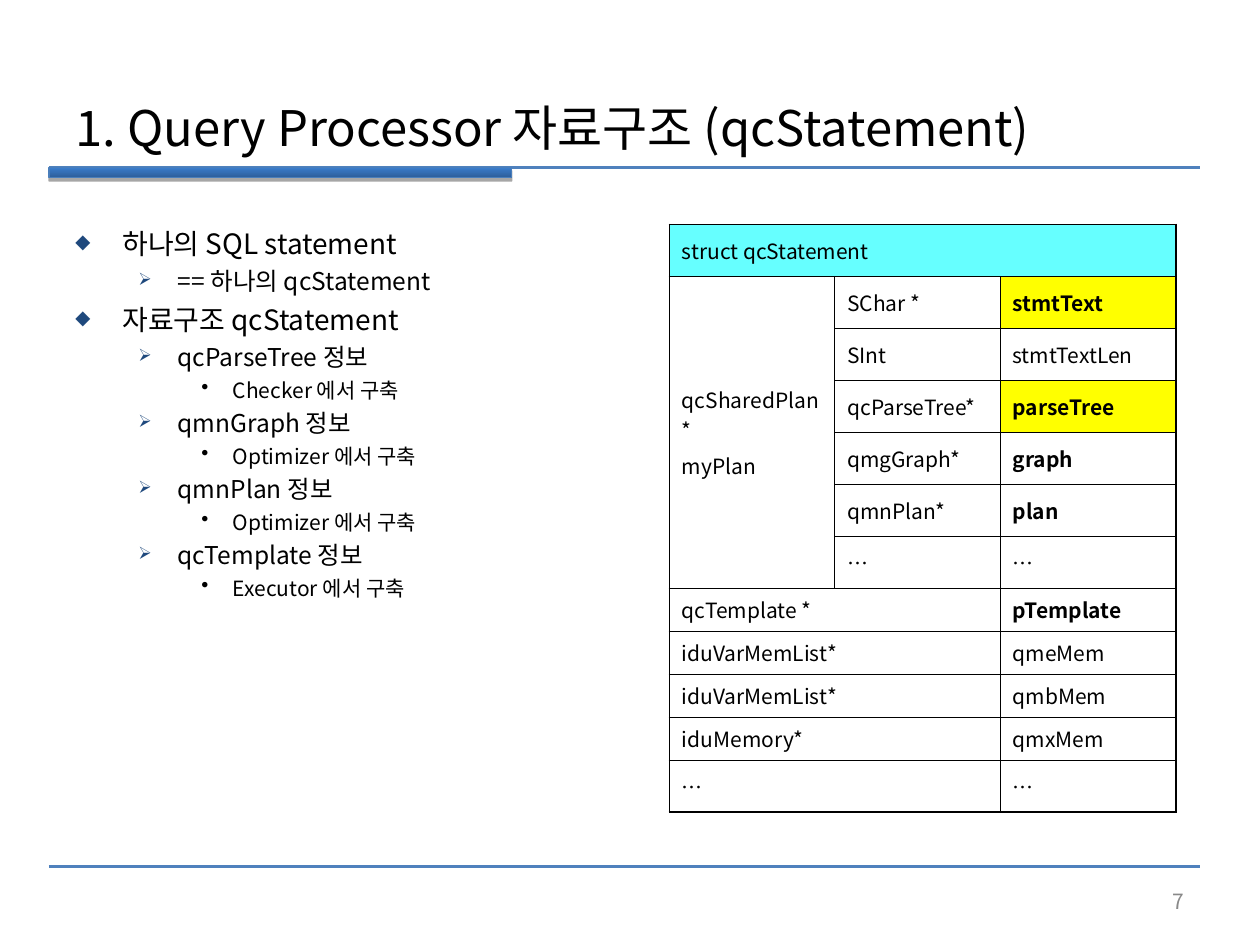
from lxml import etree
from pptx import Presentation
from pptx.dml.color import RGBColor
from pptx.enum import shapes, text
from pptx.oxml import ns
from pptx.util import Pt

FONT = "Noto Sans CJK KR"
COLORS = {"ink": "000000", "rule": "4F81BD", "bar_dark": "2C5D98", "bar_light": "3A7CCB",
          "bar_edge": "4A7EBB", "bullet": "1F497D", "header": "66FFFF",
          "highlight": "FFFF00", "number": "898989"}

TITLE = "1. Query Processor 자료구조 (qcStatement)"
OUTLINE = [
    (0, "하나의 SQL statement"),
    (1, "== 하나의 qcStatement"),
    (0, "자료구조 qcStatement"),
    (1, "qcParseTree 정보"),
    (2, "Checker 에서 구축"),
    (1, "qmnGraph 정보"),
    (2, "Optimizer 에서 구축"),
    (1, "qmnPlan 정보"),
    (2, "Optimizer 에서 구축"),
    (1, "qcTemplate 정보"),
    (2, "Executor 에서 구축"),
]
LEVELS = [
    {"size": 16, "before": 4, "left": 27, "hang": 27, "mark": "◆", "color": "bullet", "scale": 70},
    {"size": 14, "before": 3.5, "left": 58.5, "hang": 22.5, "mark": "➢", "color": "bullet", "scale": 70},
    {"size": 12, "before": 3, "left": 90, "hang": 18, "mark": "•", "color": "ink", "scale": 100},
]
MEMBERS = [
    ("struct qcStatement", "", ""),
    ("qcSharedPlan*\nmyPlan", "SChar *", "stmtText"),
    ("", "SInt", "stmtTextLen"),
    ("", "qcParseTree*", "parseTree"),
    ("", "qmgGraph*", "graph"),
    ("", "qmnPlan*", "plan"),
    ("", "…", "…"),
    ("qcTemplate *", "", "pTemplate"),
    ("iduVarMemList*", "", "qmeMem"),
    ("iduVarMemList*", "", "qmbMem"),
    ("iduMemory*", "", "qmxMem"),
    ("…", "", "…"),
]
BOLD = {"stmtText", "parseTree", "graph", "plan", "pTemplate"}
FILLS = {"struct qcStatement": "header", "stmtText": "highlight", "parseTree": "highlight"}
MERGES = [((0, 0), (0, 2)), ((1, 0), (6, 0))] + [((row, 0), (row, 1)) for row in range(7, 12)]
COLUMN_WIDTHS = [94.5, 94.5, 100.4]
ROW_HEIGHTS = [29.7] * 7 + [24] * 4 + [29.7]
INNER, OUTER = 0.45, 1.08


def rgb(name):
    return RGBColor.from_string(COLORS[name])


def points(*values):
    return [Pt(value) for value in values]


def add_element(parent, tag, **attributes):
    element = etree.SubElement(parent, ns.qn(tag))
    for name, value in attributes.items():
        element.set(name, str(value))
    return element


def write(para, words, size, color="ink", bold=False):
    span = para.add_run()
    span.text = words
    for name, value in {"size": Pt(size), "name": FONT, "bold": bold}.items():
        setattr(span.font, name, value)
    span.font.color.rgb = rgb(color)
    add_element(span._r.get_or_add_rPr(), "a:ea", typeface=FONT)


def set_frame(frame, anchor):
    values = {"word_wrap": True, "auto_size": text.MSO_AUTO_SIZE.NONE, "vertical_anchor": anchor,
              "margin_left": Pt(7.2), "margin_right": Pt(7.2),
              "margin_top": Pt(3.6), "margin_bottom": Pt(3.6)}
    for name, value in values.items():
        setattr(frame, name, value)


def add_rule(page, top):
    rule = page.shapes.add_connector(shapes.MSO_CONNECTOR.STRAIGHT, *points(28, top, 686, top))
    rule.line.color.rgb = rgb("rule")
    rule.line.width = Pt(2)
    add_element(rule._element.spPr, "a:effectLst")


def add_bar(page):
    bar = page.shapes.add_shape(shapes.MSO_SHAPE.RECTANGLE, *points(28, 95.8, 264.5, 5.8))
    bar.fill.gradient()
    bar.fill.gradient_angle = 90
    for stop, color in zip(bar.fill.gradient_stops, ("bar_dark", "bar_light")):
        stop.color.rgb = rgb(color)
    bar.line.color.rgb = rgb("bar_edge")
    bar.line.width = Pt(0.75)
    bar.shadow.inherit = False
    effects = bar._element.spPr.find(ns.qn("a:effectLst"))
    shadow = add_element(effects, "a:outerShdw", blurRad=0, dist=Pt(1.8), dir=90 * 60000, rotWithShape=0)
    add_element(add_element(shadow, "a:srgbClr", val=COLORS["ink"]), "a:alpha", val=35000)


def add_outline(page):
    box = page.shapes.add_textbox(*points(36, 126, 318, 356.4))
    frame = box.text_frame
    set_frame(frame, text.MSO_ANCHOR.TOP)
    for index, (depth, words) in enumerate(OUTLINE):
        level = LEVELS[depth]
        para = frame.add_paragraph() if index else frame.paragraphs[0]
        para.level = depth
        props = para._p.get_or_add_pPr()
        props.set("marL", str(Pt(level["left"])))
        props.set("indent", str(-Pt(level["hang"])))
        add_element(add_element(props, "a:buClr"), "a:srgbClr", val=COLORS[level["color"]])
        add_element(props, "a:buSzPct", val=level["scale"] * 1000)
        add_element(props, "a:buChar", char=level["mark"])
        para.space_before = Pt(level["before"] if index else 0)
        write(para, words, level["size"])


def set_borders(cell, widths):
    props = cell._tc.get_or_add_tcPr()
    for position, (side, width) in enumerate(widths.items()):
        line = add_element(props, f"a:ln{side}", w=Pt(width))
        add_element(add_element(line, "a:solidFill"), "a:srgbClr", val=COLORS["ink"])
        props.insert(position, line)


def add_struct_table(page):
    rows, columns = len(MEMBERS), len(COLUMN_WIDTHS)
    holder = page.shapes.add_table(
        rows, columns, *points(382.5, 128.2, sum(COLUMN_WIDTHS), sum(ROW_HEIGHTS)))
    table = holder.table
    table.first_row = table.horz_banding = False
    for column, width in zip(table.columns, COLUMN_WIDTHS):
        column.width = Pt(width)
    for row, height in zip(table.rows, ROW_HEIGHTS):
        row.height = Pt(height)
    for start, end in MERGES:
        table.cell(*start).merge(table.cell(*end))
    for r, member in enumerate(MEMBERS):
        for c, words in enumerate(member):
            cell = table.cell(r, c)
            cell.vertical_anchor = text.MSO_ANCHOR.MIDDLE
            if words in FILLS:
                cell.fill.solid()
                cell.fill.fore_color.rgb = rgb(FILLS[words])
            else:
                cell.fill.background()
            edges = {"L": c == 0, "R": c == columns - 1 or r == 0, "T": r == 0, "B": r == rows - 1}
            set_borders(cell, {side: OUTER if outer else INNER for side, outer in edges.items()})
            for index, part in enumerate(words.split("\n") if words else []):
                para = cell.text_frame.add_paragraph() if index else cell.text_frame.paragraphs[0]
                para.space_before = Pt(3 if index else 0)
                write(para, part, 12, bold=words in BOLD)


def main():
    deck = Presentation()
    deck.slide_width, deck.slide_height = points(720, 540)
    page = deck.slides.add_slide(deck.slide_layouts[5])
    add_rule(page, 495.2)
    add_rule(page, 95.8)
    add_bar(page)

    title = page.shapes.title
    title.left, title.top, title.width, title.height = points(36, 50.4, 648, 44.6)
    set_frame(title.text_frame, text.MSO_ANCHOR.MIDDLE)
    title.text_frame.paragraphs[0].alignment = text.PP_ALIGN.LEFT
    write(title.text_frame.paragraphs[0], TITLE, 28)

    add_outline(page)
    add_struct_table(page)

    number = page.shapes.add_textbox(*points(516, 500.5, 168, 28.8))
    set_frame(number.text_frame, text.MSO_ANCHOR.MIDDLE)
    number.text_frame.paragraphs[0].alignment = text.PP_ALIGN.RIGHT
    write(number.text_frame.paragraphs[0], "7", 12, "number")
    deck.save("out.pptx")


if __name__ == "__main__":
    main()
